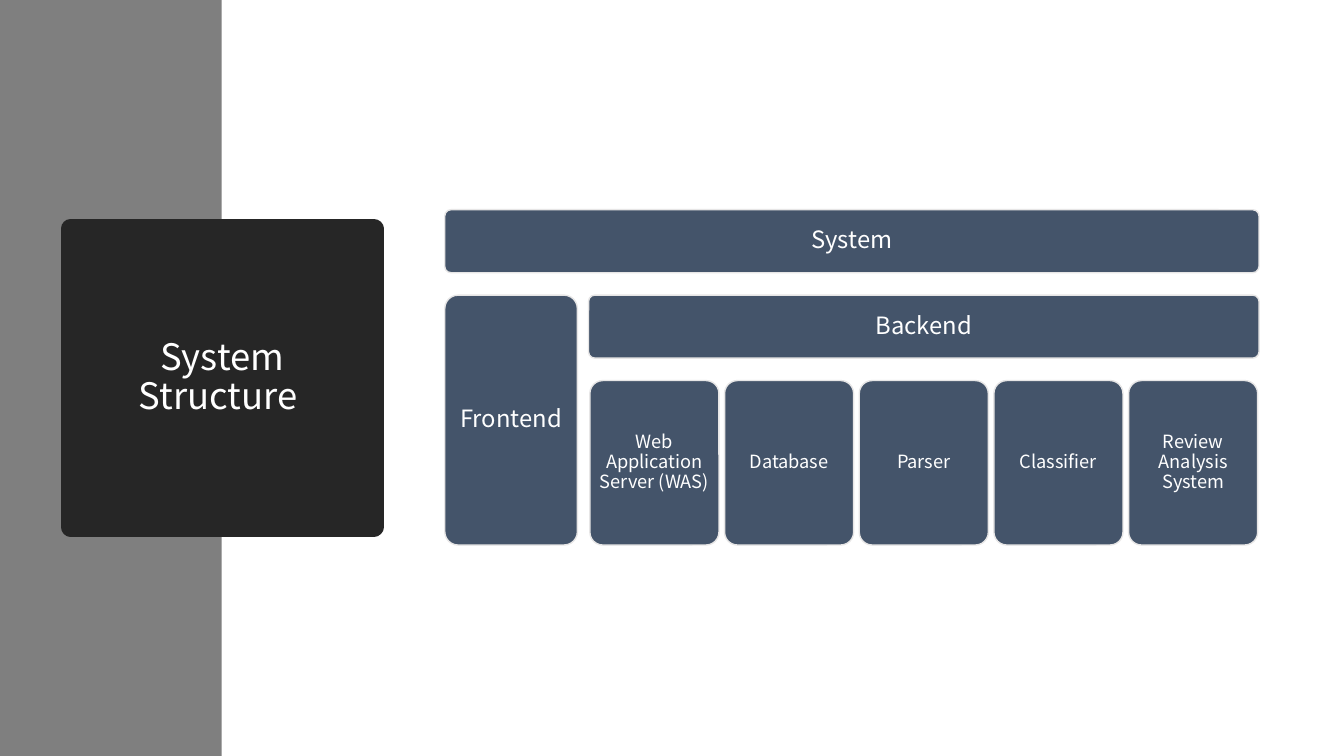
import pptx
import pptx.dml.color
import pptx.enum.shapes
import pptx.enum.text
import pptx.oxml.ns
import pptx.util
from lxml import etree

Pt = pptx.util.Pt

# Content
TITLE = "System Structure "
SYSTEM = "System"
FRONTEND = "Frontend"
BACKEND = "Backend"
COMPONENTS = [
    "Web Application Server (WAS)",
    "Database",
    "Parser",
    "Classifier",
    "Review Analysis System",
]

FONT = "Noto Sans CJK KR"
COLORS = {
    "sidebar": "7F7F7F",
    "circle": "262626",
    "box": "44546A",
    "outline": "E7E6E6",
    "text": "FFFFFF",
}

# Layout in points
SLIDE_WIDTH, SLIDE_HEIGHT = 960, 540
SIDEBAR_WIDTH = 158.4
CIRCLE = (50.4, 163.4, 216.7, 213.1)
CHART_LEFT, CHART_TOP, CHART_WIDTH = 317.7, 149.8, 581.6
HEADER_HEIGHT, COMPONENT_HEIGHT = 45, 117.5
ROW_GAP = 16
FRONTEND_WIDTH, COLUMN_GAP = 94.7, 8
COMPONENT_WIDTH, COMPONENT_PITCH = 92.2, 96.2


def color(name):
    return pptx.dml.color.RGBColor.from_string(COLORS[name])


def paint(shape, fill, outline=None, outline_width=1):
    shape.fill.solid()
    shape.fill.fore_color.rgb = color(fill)
    if outline is None:
        shape.line.fill.background()
    else:
        shape.line.color.rgb = color(outline)
        shape.line.width = Pt(outline_width)


def write(shape, text, size, space_after):
    frame = shape.text_frame
    frame.text = text
    frame.word_wrap = True
    frame.auto_size = pptx.enum.text.MSO_AUTO_SIZE.NONE
    frame.vertical_anchor = pptx.enum.text.MSO_ANCHOR.MIDDLE
    paragraph = frame.paragraphs[0]
    paragraph.alignment = pptx.enum.text.PP_ALIGN.CENTER
    paragraph.line_spacing = 0.9
    paragraph.space_after = Pt(space_after)
    font = paragraph.runs[0].font
    font.name = FONT
    font.size = Pt(size)
    font.color.rgb = color("text")


def add_box(slide, text, left, top, width, height, size=17, inset=5):
    shape = slide.shapes.add_shape(
        pptx.enum.shapes.MSO_SHAPE.ROUNDED_RECTANGLE,
        Pt(left), Pt(top), Pt(width), Pt(height))
    shape.shadow.inherit = False
    shape.adjustments[0] = 0.1
    paint(shape, "box", "outline")
    frame = shape.text_frame
    frame.margin_left = frame.margin_right = Pt(inset)
    frame.margin_top = frame.margin_bottom = Pt(inset)
    write(shape, text, size, round(0.35 * size, 2))


def add_sidebar(slide):
    sidebar = slide.shapes.add_shape(
        pptx.enum.shapes.MSO_SHAPE.RECTANGLE,
        0, 0, Pt(SIDEBAR_WIDTH), Pt(SLIDE_HEIGHT))
    sidebar.shadow.inherit = False
    paint(sidebar, "sidebar")


def add_title(slide):
    title = slide.shapes.title
    title.left, title.top, title.width, title.height = map(Pt, CIRCLE)
    # Round outline, in front of the sidebar
    geometry = etree.SubElement(
        title.element.spPr, pptx.oxml.ns.qn("a:prstGeom"), prst="ellipse")
    etree.SubElement(geometry, pptx.oxml.ns.qn("a:avLst"))
    title.element.getparent().append(title.element)
    paint(title, "circle", "circle", 13.75)
    write(title, TITLE, 26, 6)


def add_hierarchy(slide):
    middle_top = CHART_TOP + HEADER_HEIGHT + ROW_GAP
    bottom_top = middle_top + HEADER_HEIGHT + ROW_GAP
    backend_left = CHART_LEFT + FRONTEND_WIDTH + COLUMN_GAP
    backend_width = CHART_LEFT + CHART_WIDTH - backend_left
    frontend_height = bottom_top + COMPONENT_HEIGHT - middle_top

    add_box(slide, SYSTEM, CHART_LEFT, CHART_TOP, CHART_WIDTH, HEADER_HEIGHT)
    add_box(slide, FRONTEND, CHART_LEFT, middle_top,
            FRONTEND_WIDTH, frontend_height)
    add_box(slide, BACKEND, backend_left, middle_top,
            backend_width, HEADER_HEIGHT)

    # Backend components, centred under their header
    row_width = COMPONENT_PITCH * (len(COMPONENTS) - 1) + COMPONENT_WIDTH
    first_left = backend_left + (backend_width - row_width) / 2
    for index, component in enumerate(COMPONENTS):
        add_box(slide, component, first_left + index * COMPONENT_PITCH,
                bottom_top, COMPONENT_WIDTH, COMPONENT_HEIGHT,
                size=13, inset=3.6)


def main():
    presentation = pptx.Presentation()
    presentation.slide_width = Pt(SLIDE_WIDTH)
    presentation.slide_height = Pt(SLIDE_HEIGHT)
    slide = presentation.slides.add_slide(presentation.slide_layouts[5])
    add_sidebar(slide)
    add_title(slide)
    add_hierarchy(slide)
    presentation.save("out.pptx")


if __name__ == "__main__":
    main()
